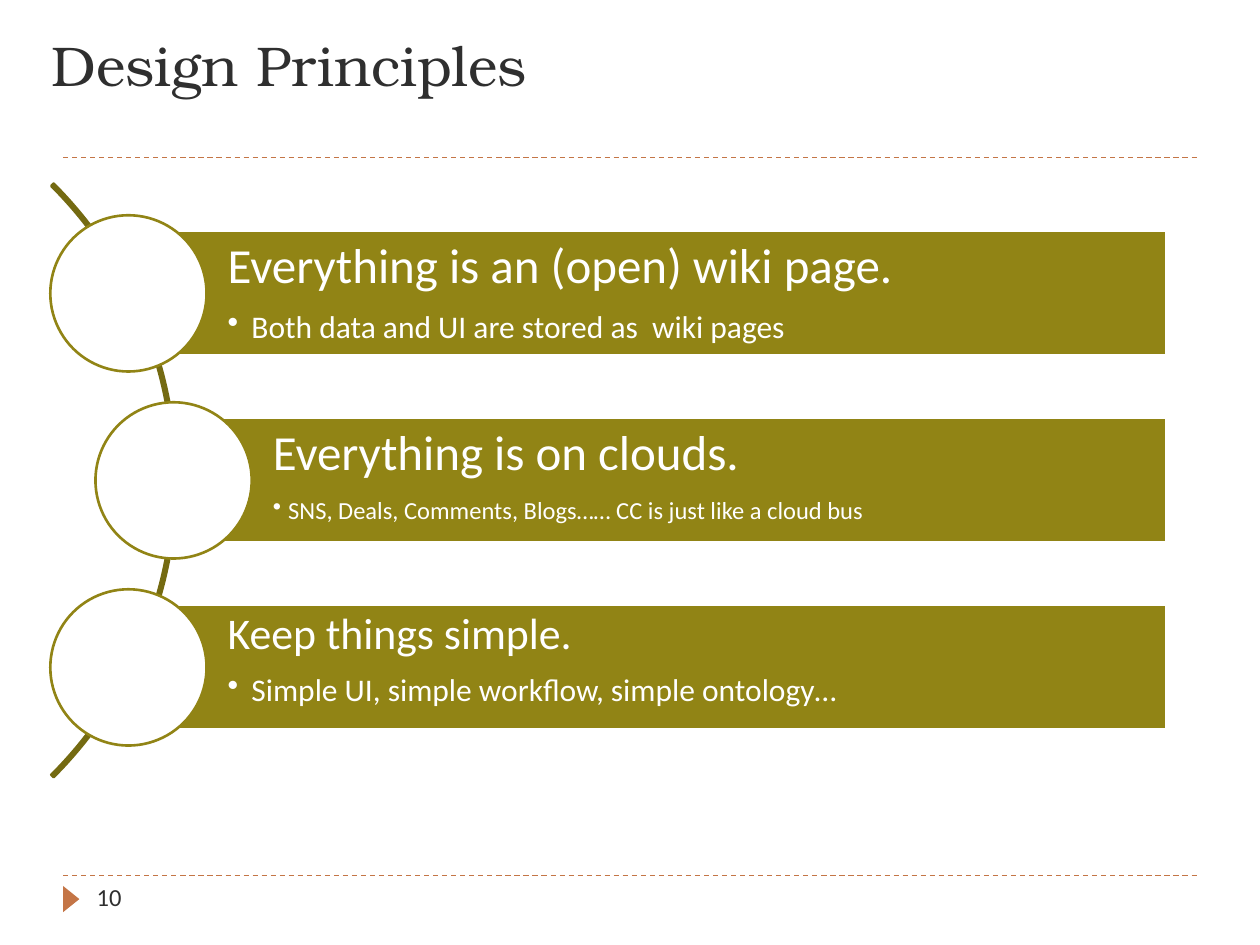
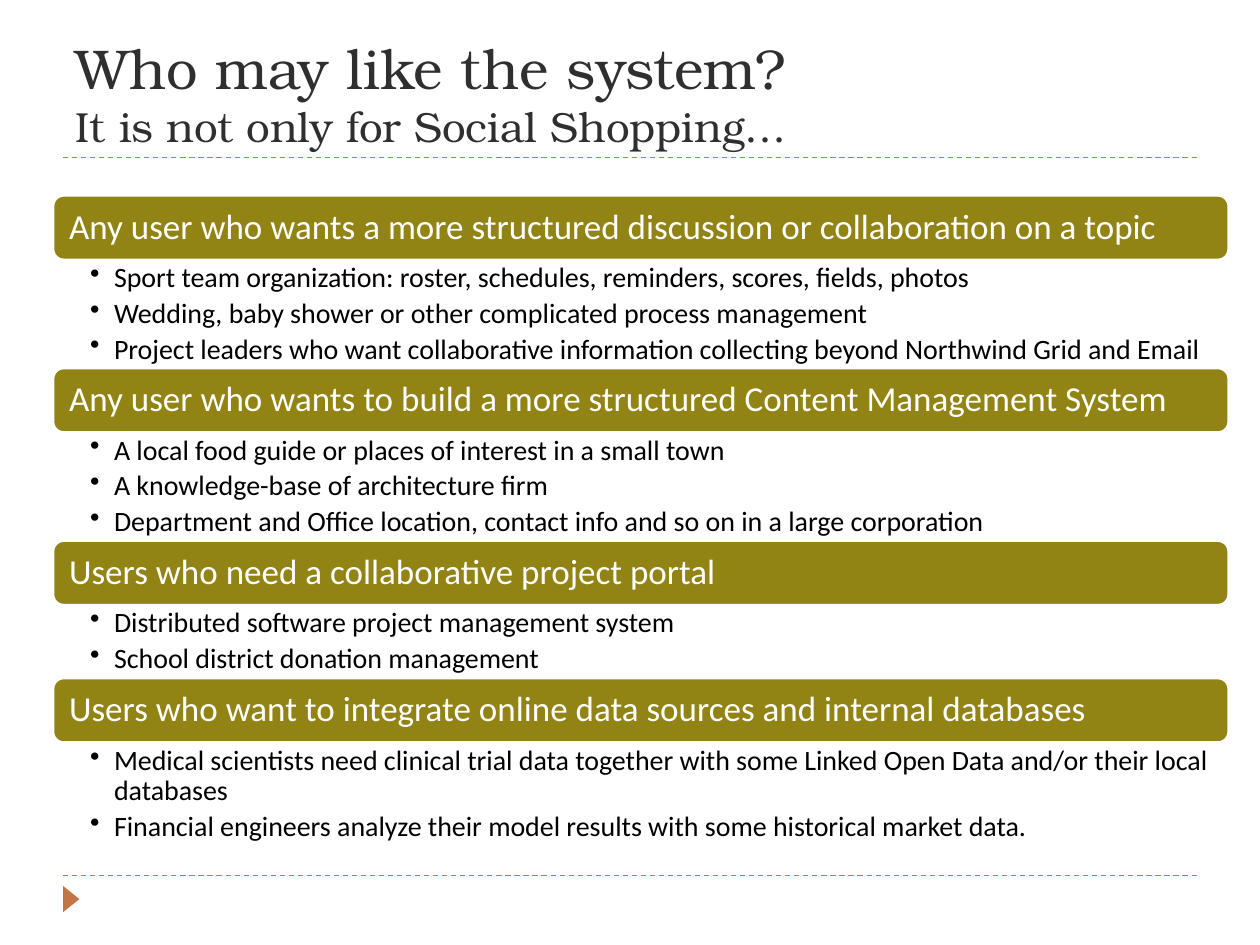
from lxml import etree
from pptx import Presentation
from pptx import util as u
from pptx.dml.color import RGBColor
from pptx.enum import dml, shapes, text
from pptx.oxml import ns

OLIVE = RGBColor(0x91, 0x84, 0x15)
DARK_OLIVE = RGBColor(0x74, 0x6A, 0x11)
COPPER = RGBColor(0xC4, 0x75, 0x46)
CHARCOAL = RGBColor(0x2F, 0x2F, 0x2F)
WHITE = RGBColor(0xFF, 0xFF, 0xFF)
BLACK = RGBColor(0, 0, 0)
TITLE_FONT = "TeX Gyre Bonum"
BODY_FONT = "Calibri"

# Boxes are (left, top, width, height) in centimetres.
RULE_LEFT, RULE_RIGHT = 1.27, 24.13
RULE_TOPS = (17.65, 3.18)

# heading, heading size, bullet, bullet size, bullet indent, bar offset, inset
PRINCIPLES = [
    ("Everything is an (open) wiki page.", 28,
     "Both data and UI are stored as  wiki pages", 18, 0.48, 0, 0.2),
    ("Everything is on clouds.", 28,
     "SNS, Deals, Comments, Blogs…… CC is just like a cloud bus", 14, 0.31, 0.91, 0.2),
    ("Keep things simple.", 25,
     "Simple UI, simple workflow, simple ontology…", 18, 0.48, 0, 0.13),
]

# heading, height of the bullet area, bullets
AUDIENCES = [
    ("Any user who wants a more structured discussion or collaboration on a topic", 2.18, [
        "Sport team organization: roster, schedules, reminders, scores, fields, photos",
        "Wedding, baby shower or other complicated process management",
        "Project leaders who want collaborative information collecting beyond "
        "Northwind Grid and Email"]),
    ("Any user who wants to build a more structured Content Management System", 2.18, [
        "A local food guide or places of interest in a small town",
        "A knowledge-base of architecture firm",
        "Department and Office location, contact info and so on in a large corporation"]),
    ("Users who need a collaborative project portal", 1.47, [
        "Distributed software project management system",
        "School district donation management"]),
    ("Users who want to integrate online data sources and internal databases", 2.06, [
        "Medical scientists need clinical trial data together with some Linked Open Data "
        "and/or their local databases",
        "Financial engineers analyze their model results with some historical market data."]),
]


def apply_format(target, values):
    for name, value in values.items():
        setattr(target, name, value)


def to_cm(box):
    return [u.Cm(length) for length in box]


def add_run(paragraph, words, size, color, font=BODY_FONT):
    run = paragraph.add_run()
    run.text = words
    apply_format(run.font, {"name": font, "size": u.Pt(size)})
    run.font.color.rgb = color


def set_frame(frame, margins, anchor=text.MSO_ANCHOR.TOP):
    """Margins are left, top, right and bottom in centimetres."""
    left, top, right, bottom = to_cm(margins)
    apply_format(frame, {
        "word_wrap": True, "vertical_anchor": anchor,
        "margin_left": left, "margin_top": top,
        "margin_right": right, "margin_bottom": bottom})


def add_text_box(slide, box, margins=(0.25, 0.13, 0.25, 0.13), anchor=text.MSO_ANCHOR.TOP):
    frame = slide.shapes.add_textbox(*to_cm(box)).text_frame
    set_frame(frame, margins, anchor)
    return frame


def add_shape(slide, kind, box, fill, line=None):
    shape = slide.shapes.add_shape(kind, *to_cm(box))
    shape.shadow.inherit = False
    shape.fill.solid()
    shape.fill.fore_color.rgb = fill
    if line is None:
        shape.line.fill.background()
    else:
        shape.line.color.rgb = line
        shape.line.width = u.Pt(1.5)
    return shape


def write_heading(paragraph, words, size):
    apply_format(paragraph, {
        "alignment": text.PP_ALIGN.LEFT, "line_spacing": 0.9,
        "space_after": u.Pt(0.35 * size)})
    add_run(paragraph, words, size, WHITE)


def write_bullet(paragraph, words, size, color, indent, gap):
    """The gap after the paragraph is a share of the text size."""
    apply_format(paragraph, {
        "alignment": text.PP_ALIGN.LEFT, "level": 1, "line_spacing": 0.9,
        "space_after": u.Pt(gap * size)})
    properties = paragraph._p.get_or_add_pPr()
    properties.set("marL", str(u.Cm(indent)))
    properties.set("indent", str(-u.Cm(indent)))
    etree.SubElement(properties, ns.qn("a:buChar")).set("char", "•")
    add_run(paragraph, words, size, color)


def add_title(slide, box, lines):
    """Lines are pairs of wording and size, set in one paragraph."""
    paragraph = add_text_box(slide, box, anchor=text.MSO_ANCHOR.BOTTOM).paragraphs[0]
    for index, (words, size) in enumerate(lines):
        if index:
            paragraph.add_line_break()
        add_run(paragraph, words, size, CHARCOAL, TITLE_FONT)


def add_framed_slide(presentation):
    """Add a slide with the dashed rules and the corner marker."""
    slide = presentation.slides.add_slide(presentation.slide_layouts[6])
    for top in RULE_TOPS:
        rule = slide.shapes.add_connector(
            shapes.MSO_CONNECTOR.STRAIGHT, *to_cm((RULE_LEFT, top, RULE_RIGHT, top)))
        rule.line.color.rgb = COPPER
        apply_format(rule.line, {"width": u.Pt(0.75), "dash_style": dml.MSO_LINE.DASH})
        etree.SubElement(rule._element.spPr, ns.qn("a:effectLst"))
    marker = add_shape(slide, shapes.MSO_SHAPE.ISOSCELES_TRIANGLE,
                       (1.17, 17.96, 0.53, 0.33), COPPER)
    marker.rotation = 90
    return slide


def add_page_number(slide, number):
    frame = add_text_box(slide, (1.7, 17.65, 5.51, 1.02))
    add_run(frame.paragraphs[0], str(number), 14, CHARCOAL)


def add_principles(slide, box):
    """Bars with circles at their left ends, strung along an arc."""
    left, top, width, height = box
    bar_height, circle_size, arc_size = 2.51, 3.15, 16.92
    pitch = (height - bar_height) / (len(PRINCIPLES) - 1)
    arc_box = (left - 15.95, top + (height - arc_size) / 2, arc_size, arc_size)
    arc = add_shape(slide, shapes.MSO_SHAPE.BLOCK_ARC, arc_box, DARK_OLIVE, DARK_OLIVE)
    for index, value in enumerate((189, 27, 0.004)):
        arc.adjustments[index] = value

    for index, (heading, heading_size, bullet, bullet_size,
                indent, offset, inset) in enumerate(PRINCIPLES):
        bar_left, bar_top = left + offset, top + index * pitch
        bar = add_shape(slide, shapes.MSO_SHAPE.RECTANGLE,
                        (bar_left, bar_top, width - offset, bar_height), OLIVE, WHITE)
        frame = bar.text_frame
        set_frame(frame, (2, inset, inset, inset))
        write_heading(frame.paragraphs[0], heading, heading_size)
        write_bullet(frame.add_paragraph(), bullet, bullet_size, WHITE, indent, 0.15)
        add_shape(slide, shapes.MSO_SHAPE.OVAL,
                  (bar_left - circle_size / 2, bar_top + (bar_height - circle_size) / 2,
                   circle_size, circle_size), WHITE, OLIVE)


def add_audiences(slide, box):
    """Stack heading bars, each followed by its bullets."""
    left, top, width = box
    bar_height = 1.3
    for heading, bullets_height, bullets in AUDIENCES:
        bar = add_shape(slide, shapes.MSO_SHAPE.ROUNDED_RECTANGLE,
                        (left, top, width, bar_height), OLIVE, WHITE)
        set_frame(bar.text_frame, (0.26, 0.2, 0.26, 0.2), text.MSO_ANCHOR.MIDDLE)
        write_heading(bar.text_frame.paragraphs[0], heading, 20)
        top += bar_height
        frame = add_text_box(slide, (left, top, width, bullets_height),
                             (0.75, 0.07, 0.4, 0.07))
        for index, words in enumerate(bullets):
            paragraph = frame.add_paragraph() if index else frame.paragraphs[0]
            write_bullet(paragraph, words, 16, BLACK, 0.48, 0.2)
        top += bullets_height


def build_principles_slide(presentation):
    slide = add_framed_slide(presentation)
    add_title(slide, (0.79, 0.2, 24.61, 1.9), [("Design Principles", 32)])
    add_principles(slide, (2.59, 4.66, 20.93, 10.05))
    add_page_number(slide, 10)


def build_audiences_slide(presentation):
    slide = add_framed_slide(presentation)
    add_title(slide, (1.27, 0.43, 22.86, 2.75),
              [("Who may like the system?", 32), ("It is not only for Social Shopping…", 24)])
    add_audiences(slide, (1.07, 3.94, 23.7))


def main():
    presentation = Presentation()
    apply_format(presentation, {"slide_width": u.Cm(25.4), "slide_height": u.Cm(19.05)})
    build_principles_slide(presentation)
    build_audiences_slide(presentation)
    presentation.save("out.pptx")


if __name__ == "__main__":
    main()
